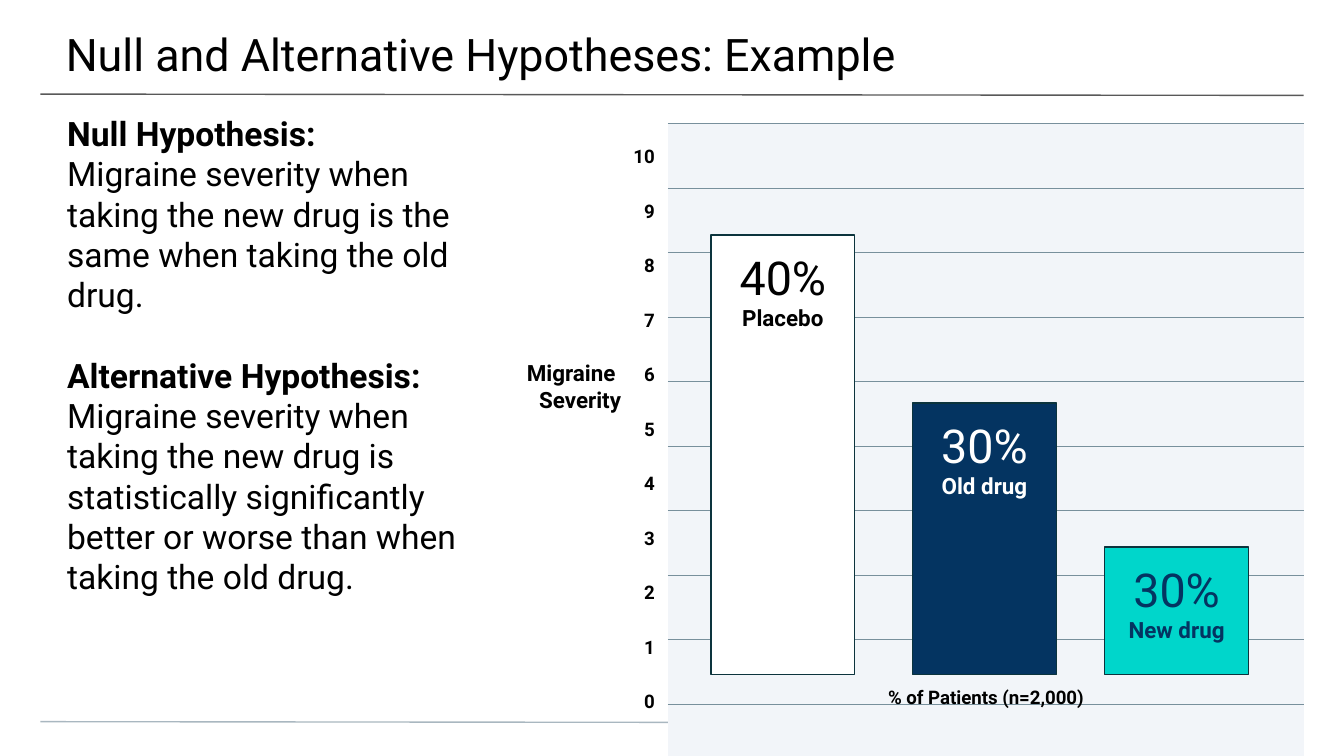
from pptx import Presentation
from pptx.dml.color import RGBColor
from pptx.enum.shapes import MSO_CONNECTOR, MSO_SHAPE
from pptx.enum.text import MSO_ANCHOR, PP_ALIGN
from pptx.oxml import parse_xml
from pptx.oxml.ns import nsdecls
from pptx.util import Inches, Pt

FONT = "Roboto"
BLACK = RGBColor(0x00, 0x00, 0x00)
WHITE = RGBColor(0xFF, 0xFF, 0xFF)
NAVY = RGBColor(0x04, 0x34, 0x61)
TEAL = RGBColor(0x00, 0xD6, 0xCB)
OUTLINE = RGBColor(0x0C, 0x34, 0x3D)
PANEL = RGBColor(0xF2, 0xF5, 0xF9)
GRIDLINE = RGBColor(0x78, 0x90, 0x9C)
HEADER_RULE = RGBColor(0x59, 0x59, 0x59)
FOOTER_RULE = RGBColor(0xA9, 0xB7, 0xC0)

# Each paragraph is a list of (text, size, bold) spans.
TITLE = [[("Null and Alternative Hypotheses: Example", 24, False)]]
HYPOTHESES = [
    [("Null Hypothesis:", 18, True)],
    [("Migraine severity when taking the new drug is the same when "
      "taking the old drug.", 18, False)],
    [("Alternative Hypothesis: ", 18, True),
     ("Migraine severity when taking the new drug is statistically "
      "significantly better or worse than when taking the old drug.", 18, False)],
]
SCALE = [[(str(value), 10, True)] for value in range(10, -1, -1)]
SEVERITY_TITLE = [[("Migraine \vSeverity", 12, True)]]
PATIENTS_TITLE = [[("% of Patients (n=2,000)", 10, True)]]

# share, group, left, top, fill, text colour
BARS = [
    ("30%", "New drug", 8.22, 4.07, TEAL, NAVY),
    ("30%", "Old drug", 6.79, 3.0, NAVY, WHITE),
    ("40%", "Placebo", 5.29, 1.75, WHITE, BLACK),
]
BAR_WIDTH, BASELINE = 1.07, 5.02
RULES = [(0.7, HEADER_RULE), (5.37, FOOTER_RULE)]
PLOT_LEFT, PLOT_TOP, PLOT_WIDTH = 4.97, 0.92, 4.73
ROW_HEIGHTS = [0.48] * 9 + [0.39]


def write(frame, paragraphs, color=BLACK, align=PP_ALIGN.LEFT,
          insets=(0.1, 0.1, 0.1, 0.1)):
    """Fill a text frame; insets run left, top, right, bottom."""
    frame.word_wrap = True
    frame.vertical_anchor = MSO_ANCHOR.TOP
    (frame.margin_left, frame.margin_top,
     frame.margin_right, frame.margin_bottom) = map(Inches, insets)
    for index, spans in enumerate(paragraphs):
        para = frame.add_paragraph() if index else frame.paragraphs[0]
        para.alignment = align
        for text, size, bold in spans:
            if len(spans) == 1:
                para.text = text
                runs = para.runs
            else:
                span = para.add_run()
                span.text = text
                runs = [span]
            for span in runs:
                span.font.name = FONT
                span.font.size = Pt(size)
                span.font.bold = bold
                span.font.color.rgb = color


def add_text(page, place, paragraphs, **style):
    box = page.shapes.add_textbox(*map(Inches, place))
    write(box.text_frame, paragraphs, **style)
    return box.text_frame.paragraphs


def add_rule(page, top, color):
    rule = page.shapes.add_connector(
        MSO_CONNECTOR.STRAIGHT, Inches(0.3), Inches(top),
        Inches(9.7), Inches(top + 0.01))
    rule.line.color.rgb = color
    rule.line.width = Pt(0.75)
    rule._element.spPr.append(parse_xml(f"<a:effectLst {nsdecls('a')}/>"))


def set_borders(cell):
    """Draw the top and bottom edges only."""
    solid = f'<a:solidFill><a:srgbClr val="{GRIDLINE}"/></a:solidFill>'
    edges = [("lnL", "<a:noFill/>"), ("lnR", "<a:noFill/>"),
             ("lnT", solid), ("lnB", solid)]
    properties = cell._tc.get_or_add_tcPr()
    for index, (edge, paint) in enumerate(edges):
        properties.insert(index, parse_xml(
            f'<a:{edge} {nsdecls("a")} w="{Pt(0.75)}">{paint}</a:{edge}>'))


def add_grid(page):
    grid = page.shapes.add_table(
        len(ROW_HEIGHTS), 1, Inches(PLOT_LEFT), Inches(PLOT_TOP),
        Inches(PLOT_WIDTH), Inches(sum(ROW_HEIGHTS))).table
    grid.first_row = grid.horz_banding = False
    for row, height in zip(grid.rows, ROW_HEIGHTS):
        row.height = Inches(height)
        cell = row.cells[0]
        cell.fill.solid()
        cell.fill.fore_color.rgb = PANEL
        set_borders(cell)


def add_bar(page, share, group, left, top, fill, color):
    bar = page.shapes.add_shape(
        MSO_SHAPE.RECTANGLE, Inches(left), Inches(top),
        Inches(BAR_WIDTH), Inches(BASELINE - top))
    bar.shadow.inherit = False
    bar.fill.solid()
    bar.fill.fore_color.rgb = fill
    bar.line.color.rgb = OUTLINE
    bar.line.width = Pt(0.75)
    write(bar.text_frame, [[(share, 25, False)], [(group, 12, True)]],
          color=color, align=PP_ALIGN.CENTER)


def main():
    deck = Presentation()
    deck.slide_width = Inches(10)
    deck.slide_height = deck.slide_width * 9 // 16
    page = deck.slides.add_slide(deck.slide_layouts[6])

    for top, color in RULES:
        add_rule(page, top, color)
    add_text(page, (-0.01, 0, 10.03, 0.58), TITLE, insets=(0.5, 0.2, 0.3, 0.1))

    add_grid(page)
    for para in add_text(page, (4.09, 0.74, 0.88, 4.46), SCALE,
                         align=PP_ALIGN.RIGHT):
        para.line_spacing = 2.43
    for bar in BARS:
        add_bar(page, *bar)
    add_text(page, (2.71, 2.57, 2.01, 0.61), SEVERITY_TITLE,
             align=PP_ALIGN.RIGHT)
    add_text(page, (PLOT_LEFT, BASELINE, PLOT_WIDTH, 0.37), PATIENTS_TITLE,
             align=PP_ALIGN.CENTER)

    hypotheses = add_text(page, (0, 0.74, 3.96, 3.43), HYPOTHESES,
                          insets=(0.5, 0.1, 0.5, 0))
    hypotheses[-1].space_before = Pt(21.5)

    deck.save("out.pptx")


if __name__ == "__main__":
    main()
